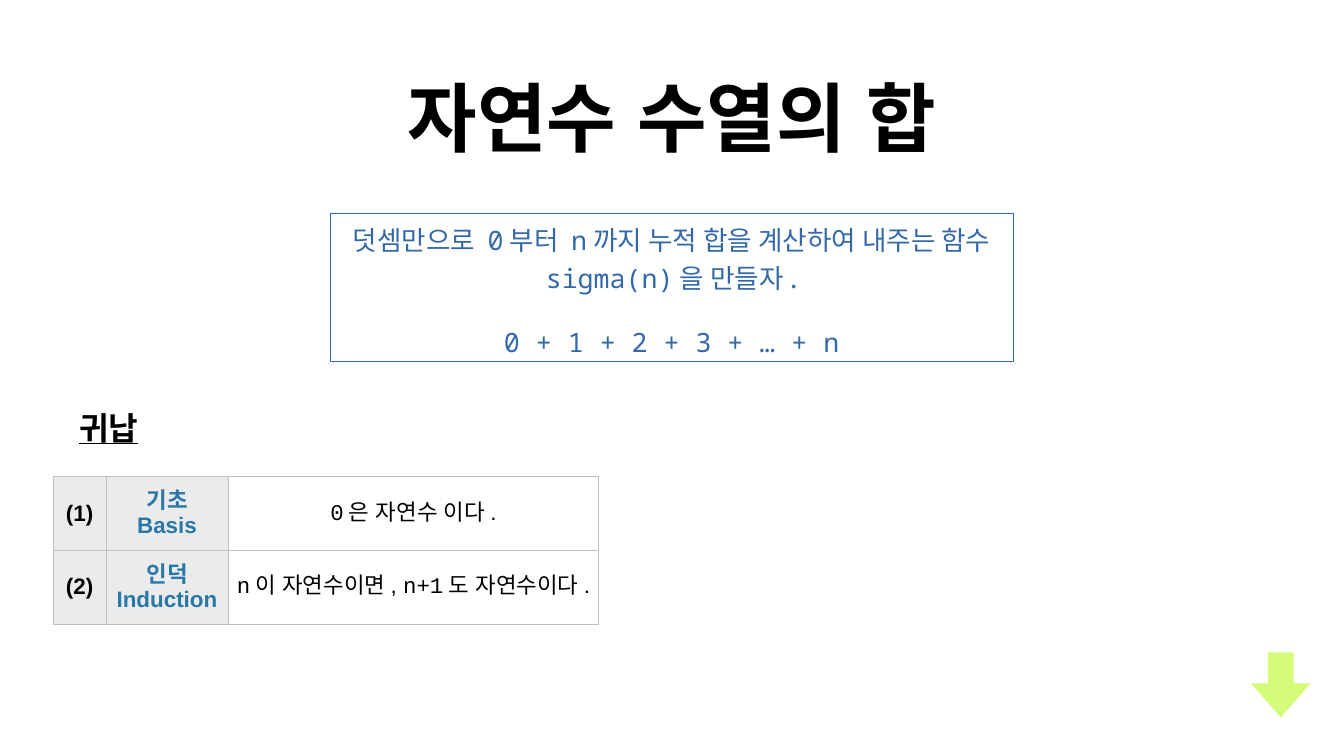
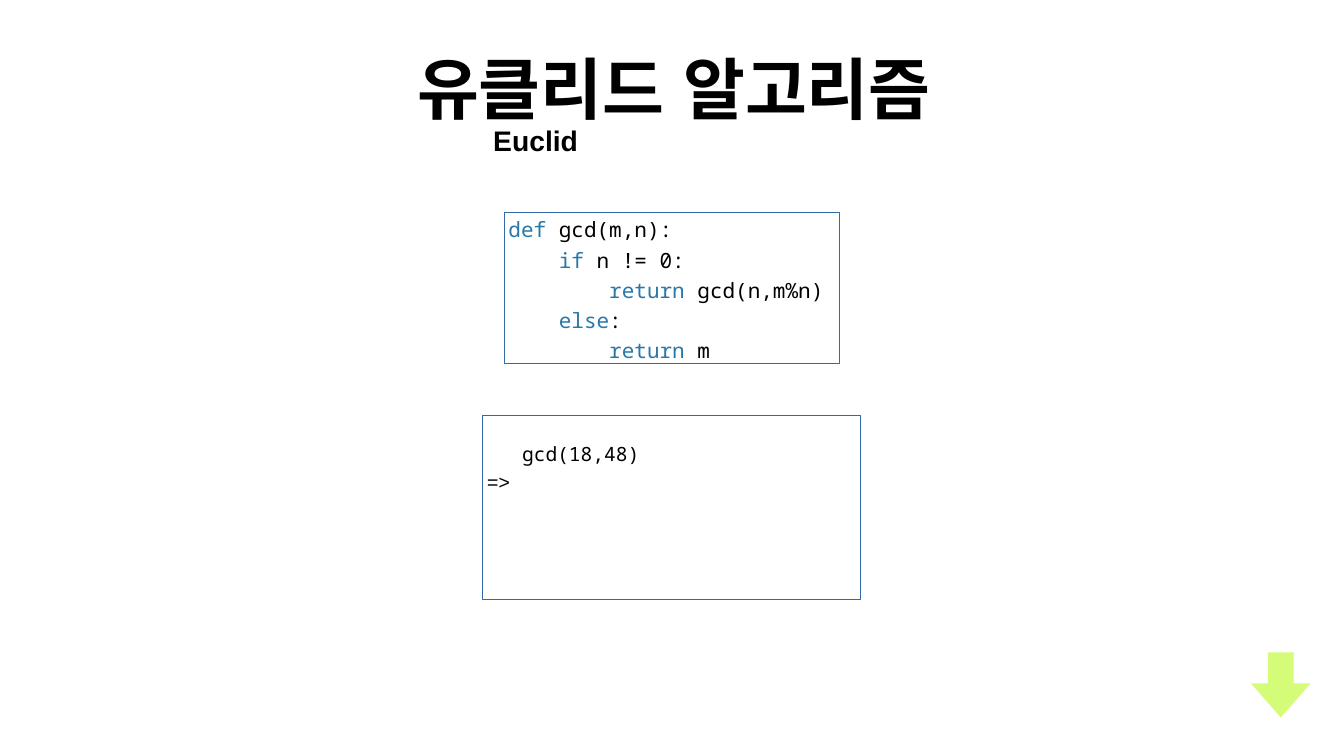
from lxml.etree import SubElement
from pptx import Presentation
from pptx.dml.color import RGBColor
from pptx.enum.shapes import MSO_SHAPE as Shape
from pptx.enum.text import MSO_ANCHOR as Anchor, PP_ALIGN as Align
from pptx.oxml.ns import qn
from pptx.util import Inches, Pt

BLACK = RGBColor(0, 0, 0)
WHITE = RGBColor(255, 255, 255)
GRAY = RGBColor(0xEB, 0xEB, 0xEB)
EDGE = RGBColor(0xC0, 0xC0, 0xC0)
BLUE = RGBColor(0x34, 0x69, 0xA9)
TEAL = RGBColor(0x29, 0x78, 0xA8)
LIME = RGBColor(0xD4, 0xFC, 0x79)
SANS, MONO, CODE, KOR = "Arial", "Noto Sans Mono", "Courier New", "Noto Sans CJK KR"

HEADS = [
    [("자연수 수열의 합", 108, False, (7.41, 0.82, 11.85, 2.44)),
     ("귀납", 45.9, True, (0.28, 8.01, 3.75, 0.91))],
    [("유클리드 알고리즘", 96.1, False, (7.78, 0.59, 11.19, 2.01)),
     ("Euclid", 40.4, False, (7.69, 2.38, 5.88, 0.8))],
]
GOAL = [
    [("덧셈만으로 ", KOR), ("0", MONO), ("부터 ", KOR), ("n", MONO),
     ("까지 누적 합을 계산하여 내주는 함수 ", KOR), ("sigma(n)", MONO), ("을 만들자.", KOR)],
    [("0 + 1 + 2 + 3 + … + n", MONO)],
]
RULES = [
    ("(1)", "기초\nBasis", [("0", CODE), ("은 자연수 이다.", SANS)]),
    ("(2)", "인덕\nInduction", [("n", CODE), ("이 자연수이면, ", SANS),
                              ("n+1", CODE), ("도 자연수이다.", SANS)]),
]
COLS, ROWS = (1.04, 2.43, 7.35), (1.45, 1.47)
GCD = [
    (0, "def", " gcd(m,n):"),
    (1, "if", " n != 0:"),
    (2, "return", " gcd(n,m%n)"),
    (1, "else", ":"),
    (2, "return", " m"),
]
TRACE = [(0.7, "gcd(18,48)", MONO), (0, "=>", CODE)]


def style(run, face, size, color=BLACK, bold=False, line=False):
    font = run.font
    font.name, font.size, font.bold, font.underline = face, Pt(size), bold, line
    font.color.rgb = color
    SubElement(run._r.get_or_add_rPr(), qn("a:ea")).set("typeface", face)


def write(para, parts, size, color=BLACK, bold=False):
    for text, face in parts:
        for i, piece in enumerate(text.split("\n")):
            if i:
                para.add_line_break()
            run = para.add_run()
            run.text = piece
            style(run, face, size, color, bold)


def pad(frame, gap):
    frame.margin_left = frame.margin_right = Inches(gap)
    frame.margin_top = frame.margin_bottom = Inches(gap)


def head(slide, text, size, line, spot):
    box = slide.shapes.add_textbox(*map(Inches, spot))
    box.fill.solid()
    box.fill.fore_color.rgb = WHITE
    frame = box.text_frame
    frame.word_wrap = True
    frame.vertical_anchor = Anchor.BOTTOM
    pad(frame, 0.06)
    frame.text = text
    para = frame.paragraphs[0]
    para.alignment = Align.CENTER
    style(para.runs[0], SANS, size, bold=True, line=line)


def panel(slide, spot, count):
    box = slide.shapes.add_textbox(*map(Inches, spot))
    box.line.color.rgb = BLUE
    box.line.width = Pt(1)
    frame = box.text_frame
    frame.word_wrap = True
    frame.vertical_anchor = Anchor.MIDDLE
    pad(frame, 0.08)
    for _ in range(count - 1):
        frame.add_paragraph()
    for para in frame.paragraphs:
        para.line_spacing = 1.2
    return frame


def indent(para, inches):
    prop = para._p.get_or_add_pPr()
    prop.set("marL", str(Inches(inches)))
    prop.set("indent", "0")


def arrow(slide):
    mark = slide.shapes.add_shape(Shape.RIGHT_ARROW, *map(Inches, (24.77, 13, 1.29, 1.18)))
    mark.rotation = 90
    mark.adjustments[0], mark.adjustments[1] = 0.435, 0.572
    mark.shadow.inherit = False
    mark.fill.solid()
    mark.fill.fore_color.rgb = LIME
    mark.line.fill.background()


def border(cell):
    prop = cell._tc.get_or_add_tcPr()
    for i, side in enumerate(("lnL", "lnR", "lnT", "lnB")):
        line = prop.makeelement(qn("a:" + side), {"w": str(Pt(1))})
        fill = SubElement(line, qn("a:solidFill"))
        SubElement(fill, qn("a:srgbClr")).set("val", str(EDGE))
        prop.insert(i, line)


def grid(slide):
    spot = map(Inches, (1.06, 9.46, sum(COLS), sum(ROWS)))
    table = slide.shapes.add_table(len(ROWS), len(COLS), *spot).table
    table.first_row = table.horz_banding = False
    for col, wide in zip(table.columns, COLS):
        col.width = Inches(wide)
    for row, tall, (num, name, rule) in zip(table.rows, ROWS, RULES):
        row.height = Inches(tall)
        looks = [([(num, SANS)], BLACK, True, GRAY),
                 ([(name, SANS)], TEAL, True, GRAY),
                 (rule, BLACK, False, WHITE)]
        for cell, (parts, color, bold, back) in zip(row.cells, looks):
            cell.fill.solid()
            cell.fill.fore_color.rgb = back
            border(cell)
            pad(cell, 0.06)
            cell.vertical_anchor = Anchor.MIDDLE
            para = cell.text_frame.paragraphs[0]
            para.alignment = Align.CENTER
            write(para, parts, 32, color, bold)


def sigma(slide):
    grid(slide)
    frame = panel(slide, (6.55, 4.24, 13.56, 2.93), len(GOAL))
    for para, parts in zip(frame.paragraphs, GOAL):
        para.alignment = Align.CENTER
        write(para, parts, 38, BLUE)
    last = frame.paragraphs[-1]
    last.line_spacing = 1.0
    last.space_before = Pt(45)


def euclid(slide):
    frame = panel(slide, (9.58, 8.25, 7.5, 3.64), len(TRACE))
    frame.margin_bottom = Inches(1.76)
    for para, (left, text, face) in zip(frame.paragraphs, TRACE):
        indent(para, left)
        write(para, [(text, face)], 28)
    frame = panel(slide, (10.01, 4.21, 6.65, 2.99), len(GCD))
    for para, (level, key, rest) in zip(frame.paragraphs, GCD):
        indent(para, level)
        write(para, [(key, MONO)], 30, TEAL)
        write(para, [(rest, MONO)], 30)


def main():
    deck = Presentation()
    deck.slide_width, deck.slide_height = Inches(26.67), Inches(15)
    for heads, body in zip(HEADS, (sigma, euclid)):
        slide = deck.slides.add_slide(deck.slide_layouts[6])
        for item in heads:
            head(slide, *item)
        body(slide)
        arrow(slide)
    deck.save("out.pptx")


if __name__ == "__main__":
    main()
